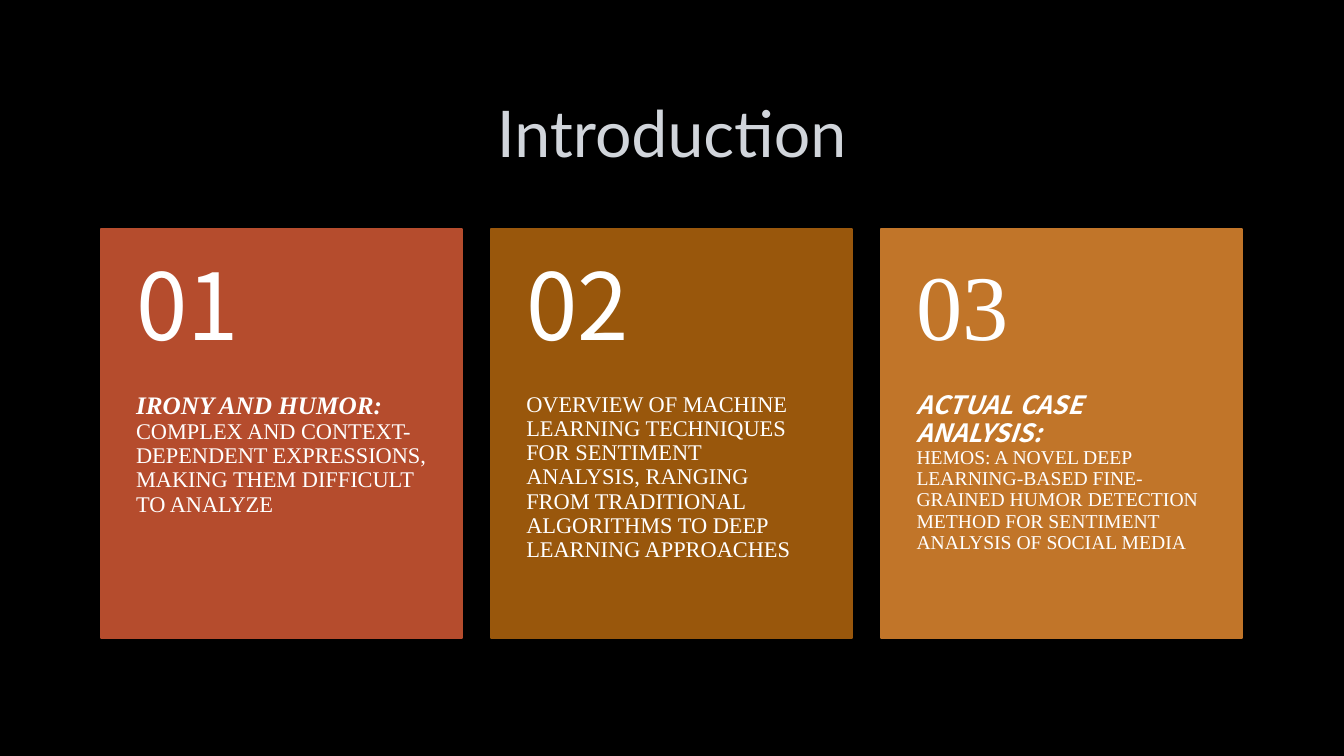
from pptx import Presentation
from pptx.dml.color import RGBColor
from pptx.enum.shapes import MSO_SHAPE as Shape
from pptx.enum.text import MSO_ANCHOR as Anchor, PP_ALIGN as Align
from pptx.util import Inches, Pt

SERIF = "Times New Roman"
SANS = "Noto Sans CJK SC"
TITLE_FONT = "Lato"

LEFT, TOP = 1, 2.27
CARD_WIDTH, CARD_HEIGHT = 3.58, 4.06
CARD_STEP = 3.87
NUMBER_HEIGHT = 1.62
BODY_TOP, BODY_HEIGHT = 3.9, 2.44

CARDS = [
    ("B54C2D", SANS, [
        ("IRONY AND HUMOR: ", 18, SERIF, True),
        ("COMPLEX AND CONTEXT-DEPENDENT EXPRESSIONS, MAKING THEM "
         "DIFFICULT TO ANALYZE", 16, SERIF, False),
    ]),
    ("99570C", SANS, [
        ("OVERVIEW OF MACHINE LEARNING TECHNIQUES FOR SENTIMENT ANALYSIS, "
         "RANGING FROM TRADITIONAL ALGORITHMS TO DEEP LEARNING APPROACHES",
         16, SERIF, False),
    ]),
    ("C17529", SERIF, [
        ("ACTUAL CASE ANALYSIS:\n", 18, SANS, True),
        ("HEMOS: A NOVEL DEEP LEARNING-BASED FINE-GRAINED HUMOR DETECTION "
         "METHOD FOR SENTIMENT ANALYSIS OF SOCIAL MEDIA", 14, SERIF, False),
    ]),
]


def color(value):
    return RGBColor.from_string(value)


class SlideBuilder:
    text_color = "FFFFFF"
    line_spacing = 0.9

    def __init__(self, slide, background):
        self.slide = slide
        fill = slide.background.fill
        fill.solid()
        fill.fore_color.rgb = color(background)

    def panel(self, left, top, width, height, fill_color):
        shape = self.slide.shapes.add_shape(
            Shape.RECTANGLE, *map(Inches, (left, top, width, height)))
        shape.shadow.inherit = False
        shape.fill.solid()
        shape.fill.fore_color.rgb = color(fill_color)
        shape.line.color.rgb = color(fill_color)
        shape.line.width = Pt(1.25)

    def text(self, left, top, width, height, runs, insets=(0.1, 0.05, 0.1, 0.05),
             anchor=Anchor.MIDDLE, align=Align.LEFT, text_color=None):
        box = self.slide.shapes.add_textbox(
            *map(Inches, (left, top, width, height)))
        frame = box.text_frame
        frame.word_wrap = True
        frame.vertical_anchor = anchor
        (frame.margin_left, frame.margin_top,
         frame.margin_right, frame.margin_bottom) = map(Inches, insets)
        paragraph = frame.paragraphs[0]
        paragraph.alignment = align
        paragraph.line_spacing = self.line_spacing
        for content, size, font_name, emphasis in runs:
            run = paragraph.add_run()
            run.text = content.rstrip("\n")
            run.font.size = Pt(size)
            run.font.name = font_name
            run.font.bold = run.font.italic = emphasis
            run.font.color.rgb = color(text_color or self.text_color)
            if content.endswith("\n"):
                paragraph.add_line_break()

    def card(self, left, number, fill_color, number_font, body):
        self.panel(left, TOP, CARD_WIDTH, CARD_HEIGHT, fill_color)
        self.text(left, BODY_TOP, CARD_WIDTH, BODY_HEIGHT, body,
                  insets=(0.35, 0, 0.35, 0.36), anchor=Anchor.TOP)
        self.text(left, TOP, CARD_WIDTH, NUMBER_HEIGHT,
                  [(f"{number:02}", 66, number_font, False)],
                  insets=(0.35, 0.18, 0.35, 0.18))


def main():
    presentation = Presentation()
    presentation.slide_width = Inches(13.33)
    presentation.slide_height = Inches(7.5)
    slide = presentation.slides.add_slide(presentation.slide_layouts[6])
    builder = SlideBuilder(slide, "000000")
    builder.text(LEFT, 0.67, 11.32, 1.38,
                 [("Introduction", 46, TITLE_FONT, False)],
                 align=Align.CENTER, text_color="D1D5DB")
    for index, card in enumerate(CARDS):
        builder.card(LEFT + index * CARD_STEP, index + 1, *card)
    presentation.save("out.pptx")


if __name__ == "__main__":
    main()
